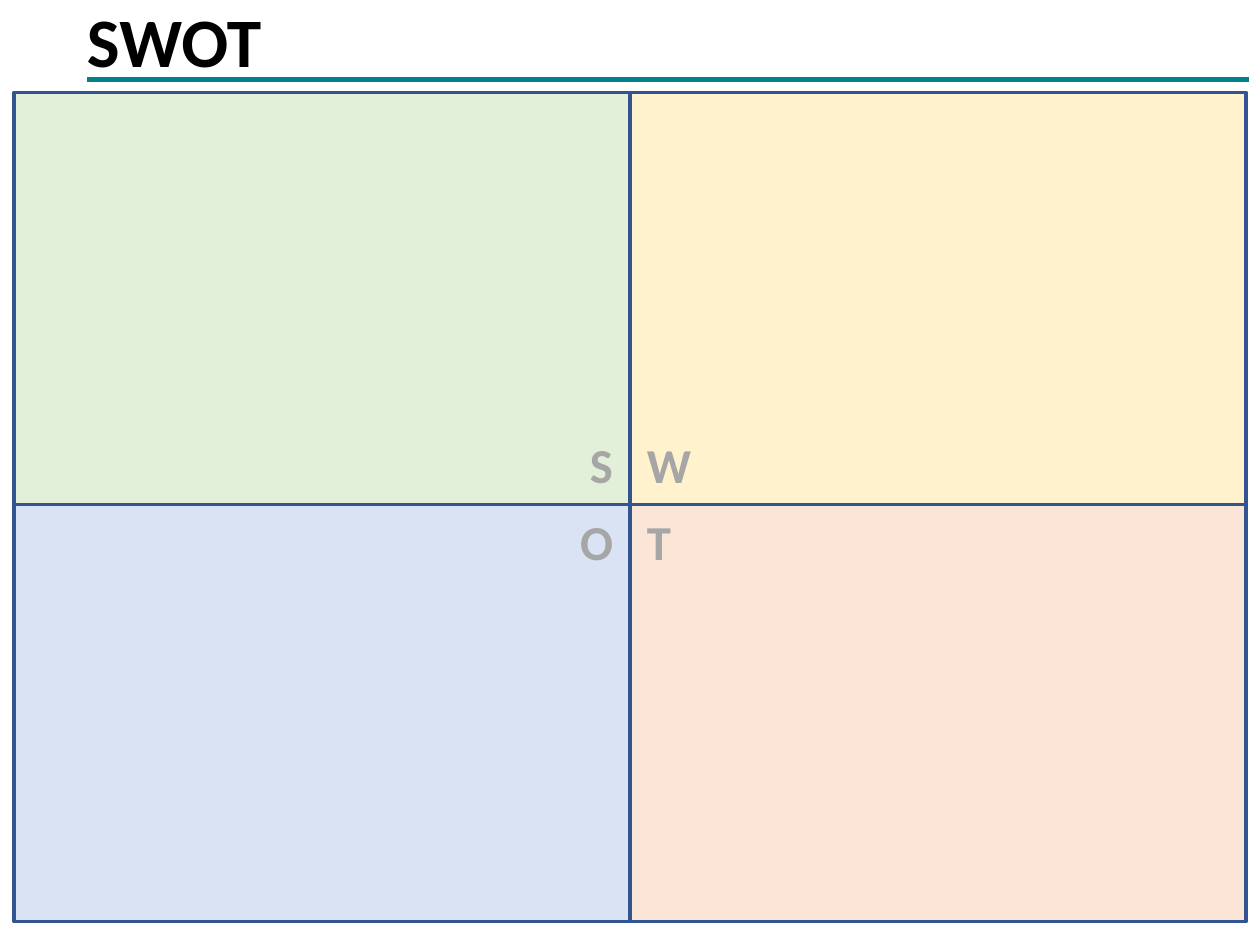
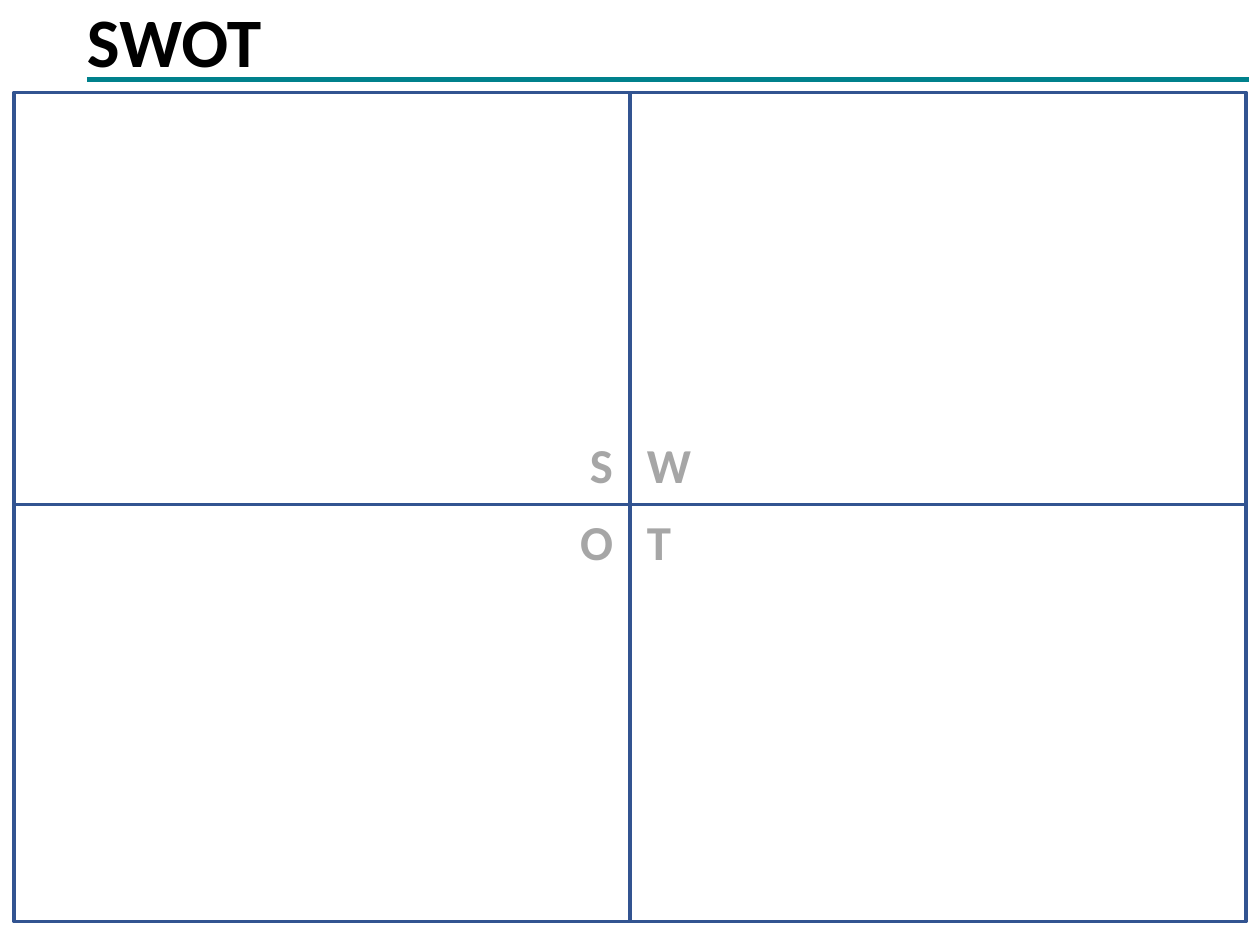
from pptx import Presentation
from pptx.dml.color import RGBColor
from pptx.enum.shapes import MSO_CONNECTOR, MSO_SHAPE
from pptx.enum.text import MSO_ANCHOR, MSO_AUTO_SIZE, PP_ALIGN
from pptx.oxml.ns import qn
from pptx.util import Pt
from lxml.etree import SubElement

COLORS = {
    "title": "000000",
    "rule": "00818C",
    "border": "325491",
    "letter": "A6A6A6",
    "strengths": "E2F0D9",
    "weaknesses": "FFF2CC",
    "opportunities": "DAE3F3",
    "threats": "FBE5D6",
}
FONT = "Calibri"
NO_GRID_STYLE = "{2D5ABB26-0587-4C30-8999-92F81FD0307C}"

SLIDE_WIDTH, SLIDE_HEIGHT = 594, 445.5
CENTER_X, CENTER_Y = SLIDE_WIDTH / 2, 238
QUADRANT_WIDTH = 290.4
ROW_HEIGHTS = (194.5, 196.5)
LETTER_WIDTH, LETTER_HEIGHT = 44.6, 36
QUADRANTS = (("strengths", "weaknesses"), ("opportunities", "threats"))
LETTERS = ("SW", "OT")


def color(name):
    return RGBColor.from_string(COLORS[name])


def format_text(paragraph, size, color_name, align):
    paragraph.alignment = align
    for span in paragraph.runs:
        span.font.name = FONT
        span.font.size = Pt(size)
        span.font.bold = True
        span.font.color.rgb = color(color_name)


def add_title(page, text):
    title = page.shapes.title
    title.left, title.top, title.width, title.height = Pt(33.8), Pt(10.8), Pt(471.6), Pt(20.9)
    frame = title.text_frame
    frame.text = text
    frame.auto_size = MSO_AUTO_SIZE.NONE
    frame.vertical_anchor = MSO_ANCHOR.MIDDLE
    para = frame.paragraphs[0]
    para.line_spacing = 0.9
    format_text(para, 32.7, "title", PP_ALIGN.LEFT)


def add_rule(page):
    rule = page.shapes.add_connector(
        MSO_CONNECTOR.STRAIGHT, Pt(41), Pt(37.5), Pt(589), Pt(37.5))
    rule.line.color.rgb = color("rule")
    rule.line.width = Pt(2.25)
    SubElement(rule.line._get_or_add_ln().getparent(), qn("a:effectLst"))


def add_quadrant(page, row, column, fill_name):
    left = CENTER_X + (column - 1) * QUADRANT_WIDTH
    top = CENTER_Y + (row - 1) * ROW_HEIGHTS[0]
    box = page.shapes.add_shape(
        MSO_SHAPE.RECTANGLE, Pt(left), Pt(top), Pt(QUADRANT_WIDTH), Pt(ROW_HEIGHTS[row]))
    box.shadow.inherit = False
    box.line.color.rgb = color("border")
    box.line.width = Pt(1.5)
    if fill_name:
        box.fill.solid()
        box.fill.fore_color.rgb = color(fill_name)
    else:
        box.fill.background()


def add_letters(page):
    frame = page.shapes.add_table(
        2, 2, Pt(CENTER_X - LETTER_WIDTH), Pt(CENTER_Y - LETTER_HEIGHT),
        Pt(2 * LETTER_WIDTH), Pt(2 * LETTER_HEIGHT))
    table = frame.table
    table.first_row = table.horz_banding = False
    next(frame._element.iter(qn("a:tableStyleId"))).text = NO_GRID_STYLE
    for row, letters in enumerate(LETTERS):
        for column, letter in enumerate(letters):
            cell = table.cell(row, column)
            cell.fill.background()
            cell.margin_left = cell.margin_right = Pt(8)
            cell.margin_top = cell.margin_bottom = Pt(4)
            cell.text_frame.text = letter
            align = PP_ALIGN.LEFT if column else PP_ALIGN.RIGHT
            format_text(cell.text_frame.paragraphs[0], 23, "letter", align)


def add_swot(deck, filled):
    page = deck.slides.add_slide(deck.slide_layouts.get_by_name("Title Only"))
    add_rule(page)
    add_title(page, "SWOT")
    for row, names in enumerate(QUADRANTS):
        for column, name in enumerate(names):
            add_quadrant(page, row, column, name if filled else None)
    add_letters(page)


def main():
    deck = Presentation()
    deck.slide_width, deck.slide_height = Pt(SLIDE_WIDTH), Pt(SLIDE_HEIGHT)
    for filled in (True, False):
        add_swot(deck, filled)
    deck.save("out.pptx")


if __name__ == "__main__":
    main()
